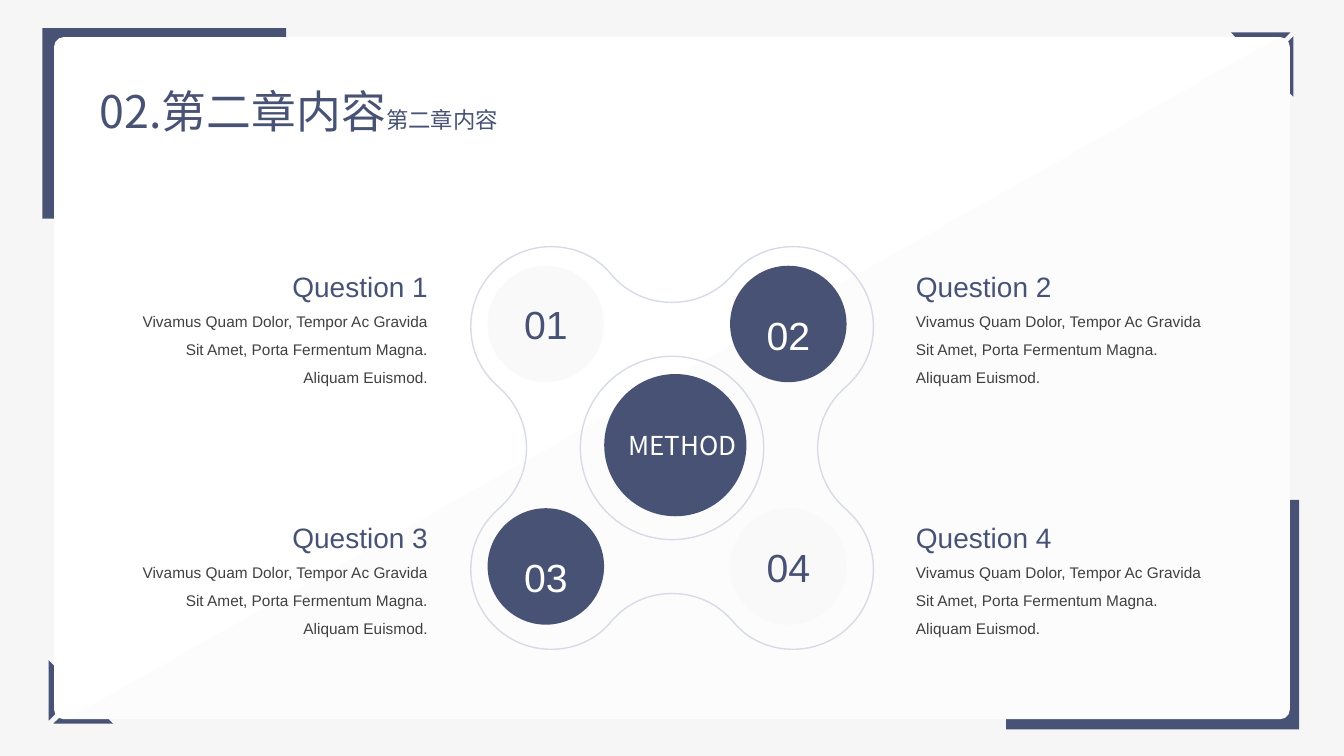
from lxml import etree
from pptx import Presentation
from pptx.dml.color import RGBColor
from pptx.enum import shapes, text
from pptx.oxml import ns
from pptx.util import Pt

W, H = 960, 540
NAVY, PALE, WHITE, GREY = "485275", "F9F9F9", "FFFFFF", "404040"
SANS, CJK = "Arial", "Noto Sans CJK SC"
TITLE = [("02.第二章内容", 32, CJK), ("第二章内容", 16, SANS)]
BODY = ("Vivamus Quam Dolor, Tempor Ac Gravida Sit Amet, "
        "Porta Fermentum Magna. Aliquam Euismod.")
QUESTIONS = ["Question 1", "Question 2", "Question 3", "Question 4"]
BRACKETS = [(30.2, 20, 174.2, 136.1), (718.6, 357, 209.4, 164)]
CARD = (38.7, 26.5, 882.6, 487.2)
CORNER = [[(45.4, 482.4), (45.4, 504), (34.8, 514.8), (34.8, 471.6)],
          [(80.6, 516.8), (38.2, 516.8), (49, 506.2), (70.6, 506.2)]]
CORNER_FLIP = [(958.7, 540.7), (W, H)]
CENTER_X, CENTER_Y, RING = 480.1, 320, 65.5
LOBE = [(0, -104), (17.3, -104), (32.4, -111.2), (43.2, -123.6),
        (53.3, -136.4), (69, -143.8), (86.4, -143.8),
        (118, -143.8), (143.8, -118.4), (143.8, -86.6),
        (143.8, -69), (136, -54), (123.8, -43.4),
        (111.6, -32.8), (104, -17), (104, 0)]
DISC, DISC_X, DISC_Y, DISC_STEP = 83.2, 348.3, 189.8, 173.2
QUESTION_X, QUESTION_Y, QUESTION_STEP = (87.4, 647.2), 177.1, 179.3

LEFT, MIDDLE, RIGHT = text.PP_ALIGN.LEFT, text.PP_ALIGN.CENTER, text.PP_ALIGN.RIGHT
RECT, OVAL = shapes.MSO_SHAPE.RECTANGLE, shapes.MSO_SHAPE.OVAL
ROUND = shapes.MSO_SHAPE.ROUNDED_RECTANGLE


def rgb(value):
    return RGBColor.from_string(value)


def paint(sp, fill=None, line=None):
    sp.shadow.inherit = False
    if fill:
        sp.fill.solid()
        sp.fill.fore_color.rgb = rgb(fill)
    else:
        sp.fill.background()
    if line:
        sp.line.color.rgb = rgb(line)
        sp.line.width = Pt(1)
    else:
        sp.line.fill.background()
    return sp


def add_shape(kind, box, fill):
    return paint(s.shapes.add_shape(kind, *map(Pt, box)), fill)


def add_outline(contours, fill=None, line=None, curves=()):
    contours = [[(Pt(x), Pt(y)) for x, y in c] for c in contours]
    builder = s.shapes.build_freeform(*contours[0][0], scale=1.0)
    for i, points in enumerate(contours):
        if i:
            builder.move_to(*points[0])
        builder.add_line_segments(points[1:], close=True)
    sp = builder.convert_to_shape()
    steps = list(sp._element.iter(ns.qn("a:lnTo")))
    for first in curves:
        bend = etree.Element(ns.qn("a:cubicBezTo"))
        steps[first].addprevious(bend)
        for step in steps[first:first + 3]:
            bend.append(step[0])
            step.getparent().remove(step)
    return paint(sp, fill, line)


def mirrored(points):
    full = []
    for sx, sy in ((1, 1), (1, -1), (-1, -1), (-1, 1)):
        quarter = [(CENTER_X + sx * x, CENTER_Y + sy * y) for x, y in points[::sx * sy]]
        full += quarter[1:] if full else quarter
    return full


def add_text(box, wrap):
    tf = s.shapes.add_textbox(*map(Pt, box)).text_frame
    tf.word_wrap = wrap
    tf.auto_size = text.MSO_AUTO_SIZE.SHAPE_TO_FIT_TEXT
    return tf


def add_run(p, words, size, color, font, align=LEFT, spacing=None):
    p.alignment = align
    if spacing:
        p.line_spacing = spacing
    r = p.add_run()
    r.text = words
    r.font.size = Pt(size)
    r.font.color.rgb = rgb(color)
    r.font.name = font
    etree.SubElement(r.font._element, ns.qn("a:ea")).set("typeface", CJK)


prs = Presentation()
prs.slide_width, prs.slide_height = Pt(W), Pt(H)
s = prs.slides.add_slide(prs.slide_layouts[6])
s.background.fill.solid()
s.background.fill.fore_color.rgb = rgb("F6F6F6")

for box in BRACKETS:
    add_shape(RECT, box, NAVY)
add_outline(CORNER, NAVY)
add_outline([[(fx - x, fy - y) for x, y in piece]
             for piece, (fx, fy) in zip(CORNER, CORNER_FLIP)], NAVY)
add_shape(ROUND, CARD, WHITE).adjustments[0] = 0.014

left, top, width, height = CARD
right, bottom, bend = left + width, top + height, 6.8
shade = add_outline([[
    (right - bend - 1, top), (right - bend, top),
    (right - 3, top), (right, top + 3), (right, top + bend),
    (right, bottom - bend),
    (right, bottom - 3), (right - 3, bottom), (right - bend, bottom),
    (left + 8.8, bottom)]], "F2F2F2", curves=(1, 5))
color = shade.fill._xPr.find(".//" + ns.qn("a:srgbClr"))
etree.SubElement(color, ns.qn("a:alpha")).set("val", "16000")

p = add_text((64.1, 56.2, 455.8, 46.1), False).paragraphs[0]
for words, size, font in TITLE:
    add_run(p, words, size, NAVY, font)

pull = 0.55 * RING
arc = [(0, -RING), (pull, -RING), (RING, -pull), (RING, 0)]
rings = [mirrored(LOBE), mirrored(arc)]
add_outline(rings, line="D7DBE7", curves=range(0, sum(len(c) - 1 for c in rings), 3))

for i in range(4):
    row, col = divmod(i, 2)
    dark = row != col
    sp = add_shape(OVAL, (DISC_X + col * DISC_STEP, DISC_Y + row * DISC_STEP, DISC, DISC),
                   NAVY if dark else PALE)
    tf = sp.text_frame
    tf.vertical_anchor = text.MSO_ANCHOR.TOP if dark else text.MSO_ANCHOR.MIDDLE
    add_run(tf.paragraphs[0], f"{i + 1:02d}", 28, WHITE if dark else NAVY, SANS,
            MIDDLE, 1.5 if dark else None)

add_shape(OVAL, (431.6, 267.2, 101.6, 101.6), NAVY)
tf = add_text((432, 303.1, 101.2, 29.5), False)
add_run(tf.paragraphs[0], "METHOD", 18.6, WHITE, CJK, RIGHT)

for i, question in enumerate(QUESTIONS):
    row, col = divmod(i, 2)
    tf = add_text((QUESTION_X[col], QUESTION_Y + row * QUESTION_STEP, 225.4, 103.7), True)
    align = LEFT if col else RIGHT
    add_run(tf.paragraphs[0], question, 20, NAVY, SANS, align, 1.5)
    add_run(tf.add_paragraph(), BODY, 11, GREY, SANS, align, 1.5)

prs.save("out.pptx")
